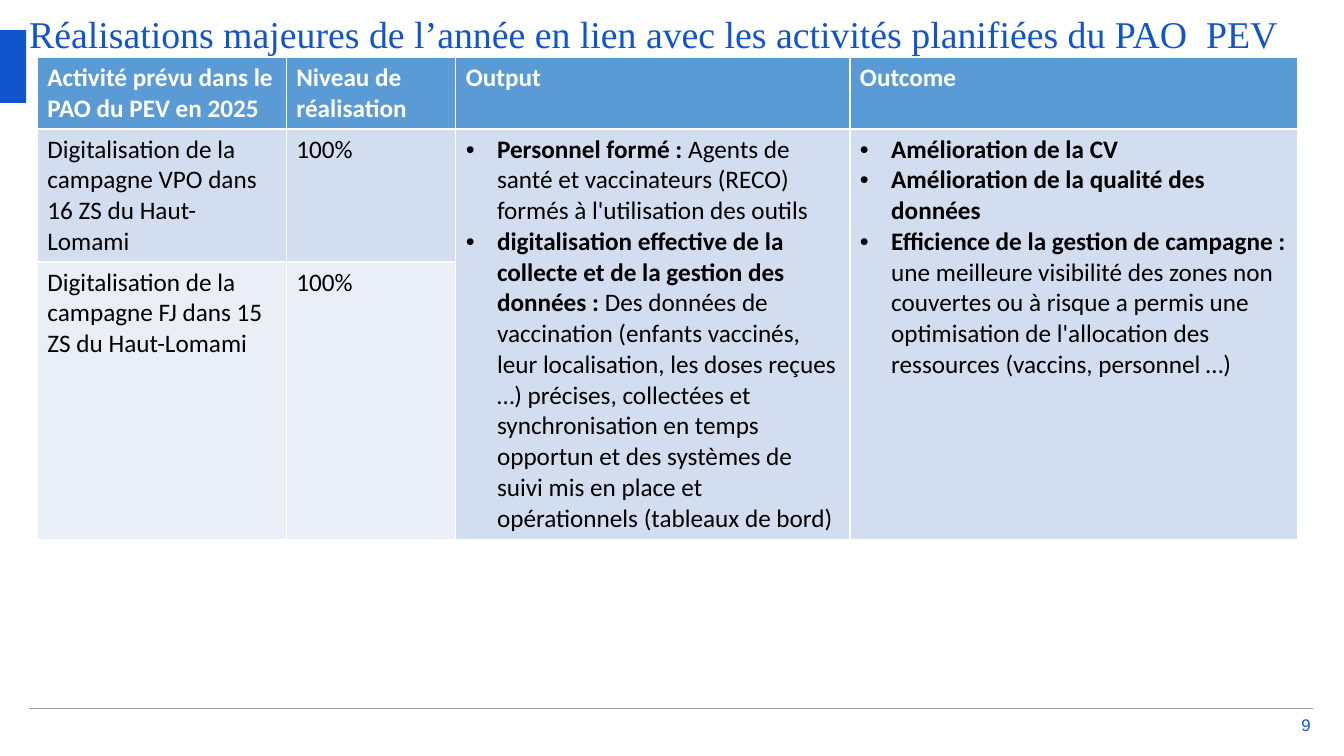
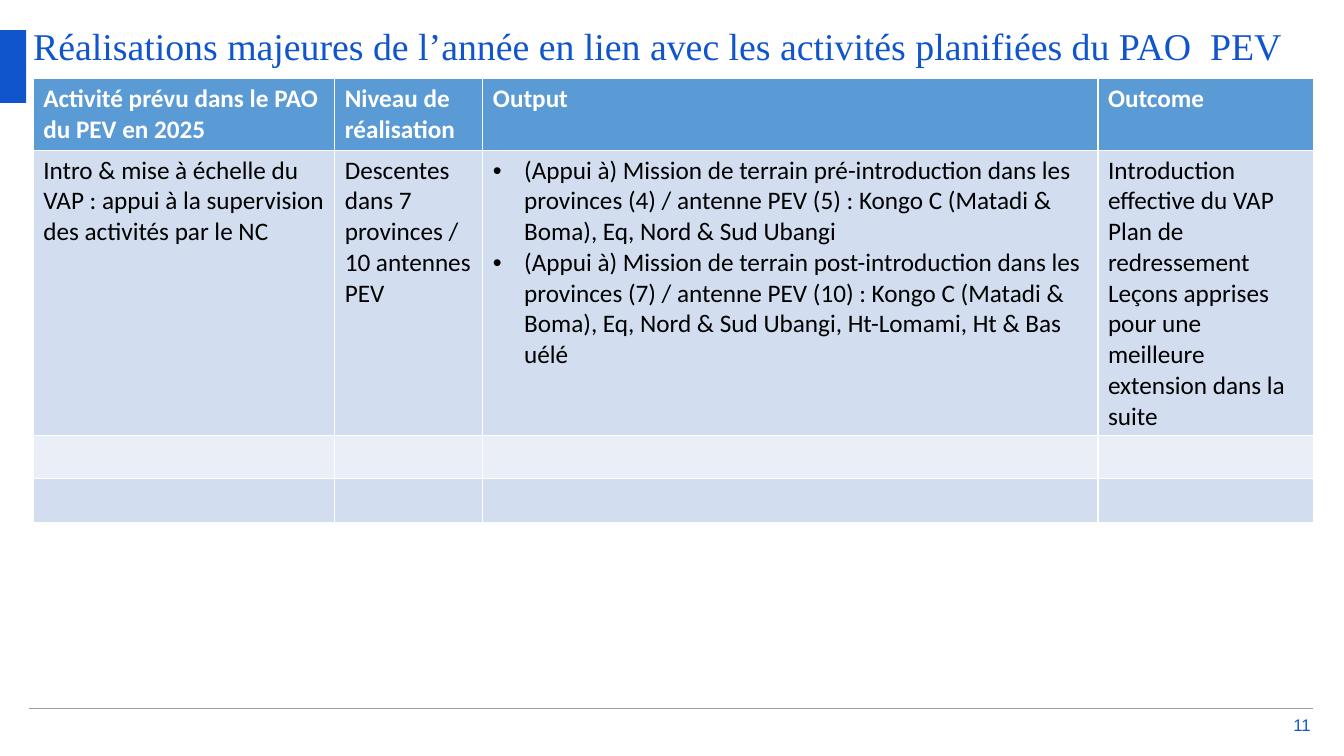
from lxml.etree import SubElement
from pptx import Presentation
from pptx.dml.color import RGBColor
from pptx.enum.shapes import MSO_CONNECTOR as Conn, MSO_SHAPE as Shape
from pptx.enum.text import MSO_ANCHOR as Anchor, PP_ALIGN as Align
from pptx.oxml.ns import qn
from pptx.util import Inches, Pt

W, H = 13.33, 7.5
LEFT, RIGHT = 0.29, 13.02
COLORS = {"blue": "1155CC", "rule": "9E9E9E", "header": "5B9BD5", "odd": "D2DEEF",
          "even": "EAEFF7", "white": "FFFFFF", "black": "000000"}
TITLE = "Réalisations majeures de l’année en lien avec les activités planifiées du PAO  PEV"
HEADERS = ["Activité prévu dans le PAO du PEV en 2025", "Niveau de réalisation",
           "Output", "Outcome"]


def color(name):
    """Return the named colour."""
    return RGBColor.from_string(COLORS[name])


def style(r, size, face, tint, bold=False):
    """Format one run."""
    r.font.size, r.font.name, r.font.bold = Pt(size), face, bold
    r.font.color.rgb = color(tint)


def add_text(s, box, text, size, face, align=Align.LEFT, anchor=Anchor.TOP):
    """Add a blue one-line text box without insets."""
    tf = s.shapes.add_textbox(*map(Inches, box)).text_frame
    tf.margin_left = tf.margin_right = tf.margin_top = tf.margin_bottom = 0
    tf.word_wrap, tf.vertical_anchor = True, anchor
    tf.text = text
    p = tf.paragraphs[0]
    p.alignment = align
    style(p.runs[0], size, face, "blue")


def add_frame(s, title_at, number):
    """Add the title, side band, footer rule and page number."""
    add_text(s, (*title_at, 12.5, 0.54), TITLE, 27, "Times New Roman")
    band = s.shapes.add_shape(Shape.RECTANGLE, *map(Inches, (0, 0.3, 0.26, 0.72)))
    band.shadow.inherit = False
    band.fill.solid()
    band.fill.fore_color.rgb = color("blue")
    band.line.fill.background()
    add_text(s, (12.75, 7.1, 0.25, 0.18), number, 12, "Arial", Align.RIGHT, Anchor.MIDDLE)
    rule = s.shapes.add_connector(Conn.STRAIGHT, *map(Inches, (LEFT, 7.03, RIGHT, 7.03)))
    rule.line.color.rgb = color("rule")
    rule.line.width = Pt(1)
    SubElement(rule._element.spPr, qn("a:effectLst"))


def add_bullet(p):
    """Give a paragraph a hanging round bullet."""
    pPr = p._p.get_or_add_pPr()
    pPr.set("marL", str(Inches(0.31)))
    pPr.set("indent", str(-Inches(0.31)))
    SubElement(pPr, qn("a:buFont")).set("typeface", "Arial")
    SubElement(pPr, qn("a:buChar")).set("char", "•")


def fill_cell(cell, content, fill, tint, bold):
    """Fill a cell: strings are plain lines, (bold, regular) pairs are bullets."""
    cell.fill.solid()
    cell.fill.fore_color.rgb = color(fill)
    lines = [content] if isinstance(content, str) else content
    tf = cell.text_frame
    for i, line in enumerate(lines):
        p = tf.add_paragraph() if i else tf.paragraphs[0]
        parts = [(line, bold)]
        if isinstance(line, tuple):
            add_bullet(p)
            parts = zip(line, (True, False))
        for text, strong in parts:
            if text:
                r = p.add_run()
                r.text = text
                style(r, 18, "Calibri", tint, strong)


def add_grid(s, at, cols, heights, rows):
    """Add the activity table; None continues the cell above."""
    box = (*at, sum(cols), sum(heights))
    table = s.shapes.add_table(len(heights), len(cols), *map(Inches, box)).table
    for col, width in zip(table.columns, cols):
        col.width = Inches(width)
    for row, height in zip(table.rows, heights):
        row.height = Inches(height)
    for i, row in enumerate([HEADERS, *rows]):
        fill = "header" if i == 0 else "odd" if i % 2 else "even"
        for j, content in enumerate(row):
            if content is None:
                table.cell(i - 1, j).merge(table.cell(i, j))
            else:
                fill_cell(table.cell(i, j), content, fill,
                          "black" if i else "white", i == 0)


SLIDES = [
    {"title_at": (LEFT, 0.11), "number": "9", "at": (0.37, 0.57),
     "cols": [2.47, 1.68, 3.91, 4.44], "heights": [0.71, 1.32, 2.75],
     "rows": [
         ["Digitalisation de la campagne VPO dans 16 ZS du Haut-Lomami", "100%",
          [("Personnel formé :", " Agents de santé et vaccinateurs (RECO) formés à "
            "l'utilisation des outils"),
           ("digitalisation effective de la collecte et de la gestion des données :",
            " Des données de vaccination (enfants vaccinés, leur localisation, les doses "
            "reçues …) précises, collectées et synchronisation en temps opportun et des "
            "systèmes de suivi mis en place et opérationnels (tableaux de bord)")],
          [("Amélioration de la CV", ""),
           ("Amélioration de la qualité des données", ""),
           ("Efficience de la gestion de campagne : ",
            "une meilleure visibilité des zones non couvertes ou à risque a permis une "
            "optimisation de l'allocation des ressources (vaccins, personnel …)")]],
         ["Digitalisation de la campagne FJ dans 15 ZS du Haut-Lomami", "100%", None, None],
     ]},
    {"title_at": (0.33, 0.23), "number": "11", "at": (0.33, 0.78),
     "cols": [2.99, 1.47, 6.1, 2.14], "heights": [0.71, 2.83, 0.43, 0.43],
     "rows": [
         ["Intro & mise à échelle du VAP : appui à la supervision des activités par le NC",
          "Descentes dans 7 provinces / 10 antennes PEV",
          [("", "(Appui à) Mission de terrain pré-introduction dans les provinces (4) / "
            "antenne PEV (5) : Kongo C (Matadi & Boma), Eq, Nord & Sud Ubangi"),
           ("", "(Appui à) Mission de terrain post-introduction dans les provinces (7) / "
            "antenne PEV (10) : Kongo C (Matadi & Boma), Eq, Nord & Sud Ubangi, "
            "Ht-Lomami, Ht & Bas uélé")],
          ["Introduction effective du VAP", "Plan de redressement",
           "Leçons apprises pour une meilleure extension dans la suite"]],
         [""] * 4,
         [""] * 4,
     ]},
]


def main():
    """Build and save the presentation."""
    prs = Presentation()
    prs.slide_width, prs.slide_height = Inches(W), Inches(H)
    for page in SLIDES:
        s = prs.slides.add_slide(prs.slide_layouts[6])
        add_frame(s, page["title_at"], page["number"])
        add_grid(s, page["at"], page["cols"], page["heights"], page["rows"])
    prs.save("out.pptx")


if __name__ == "__main__":
    main()
